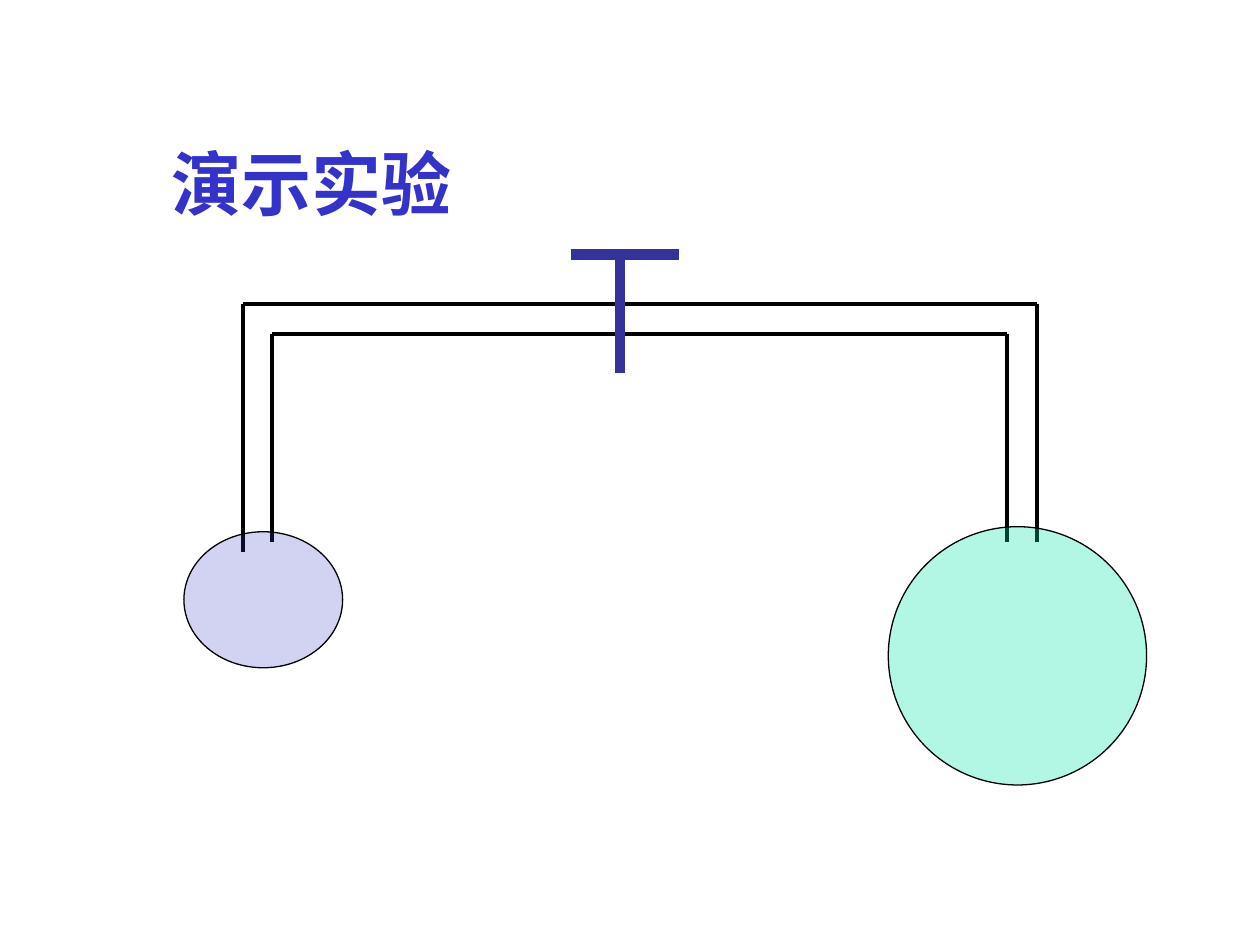
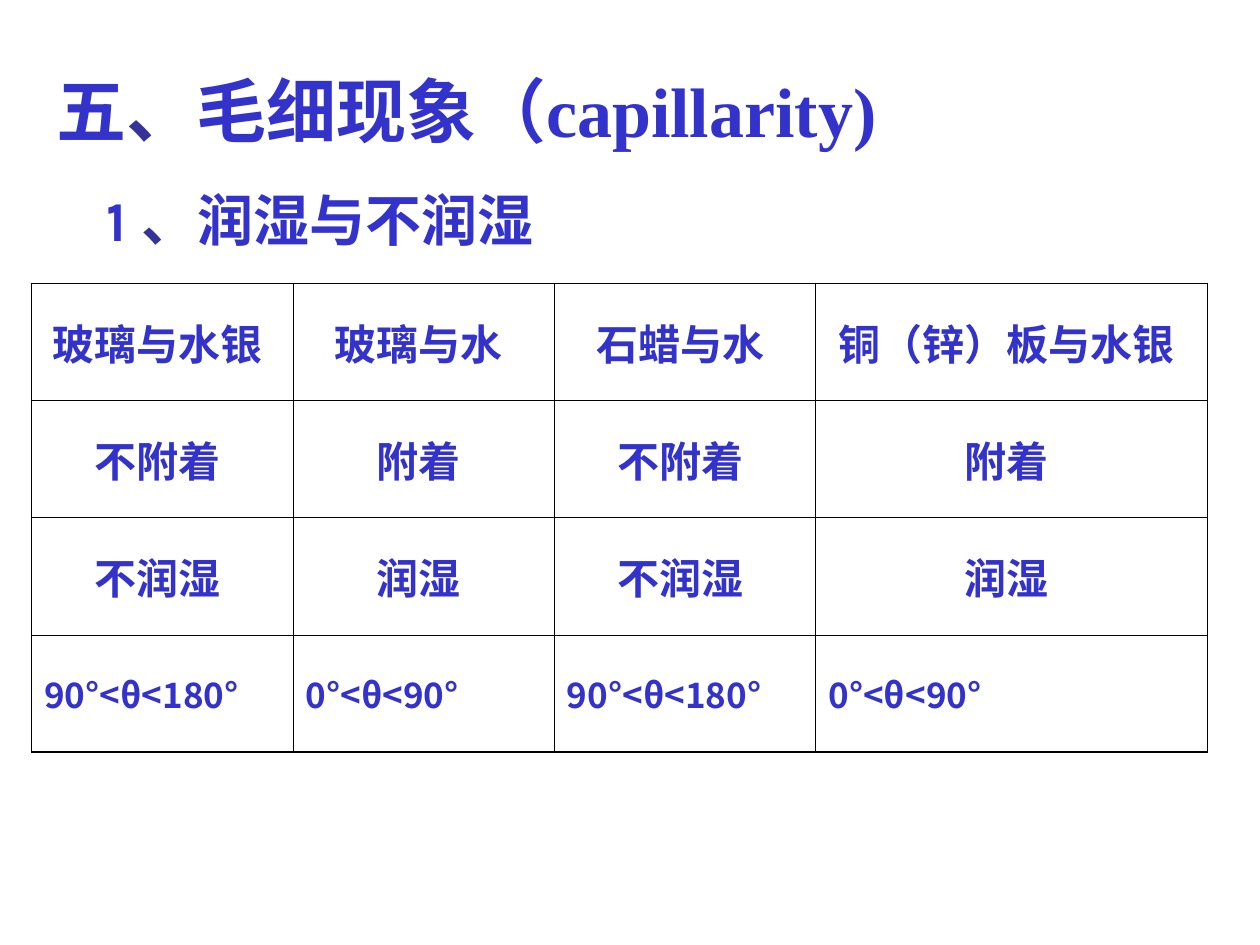
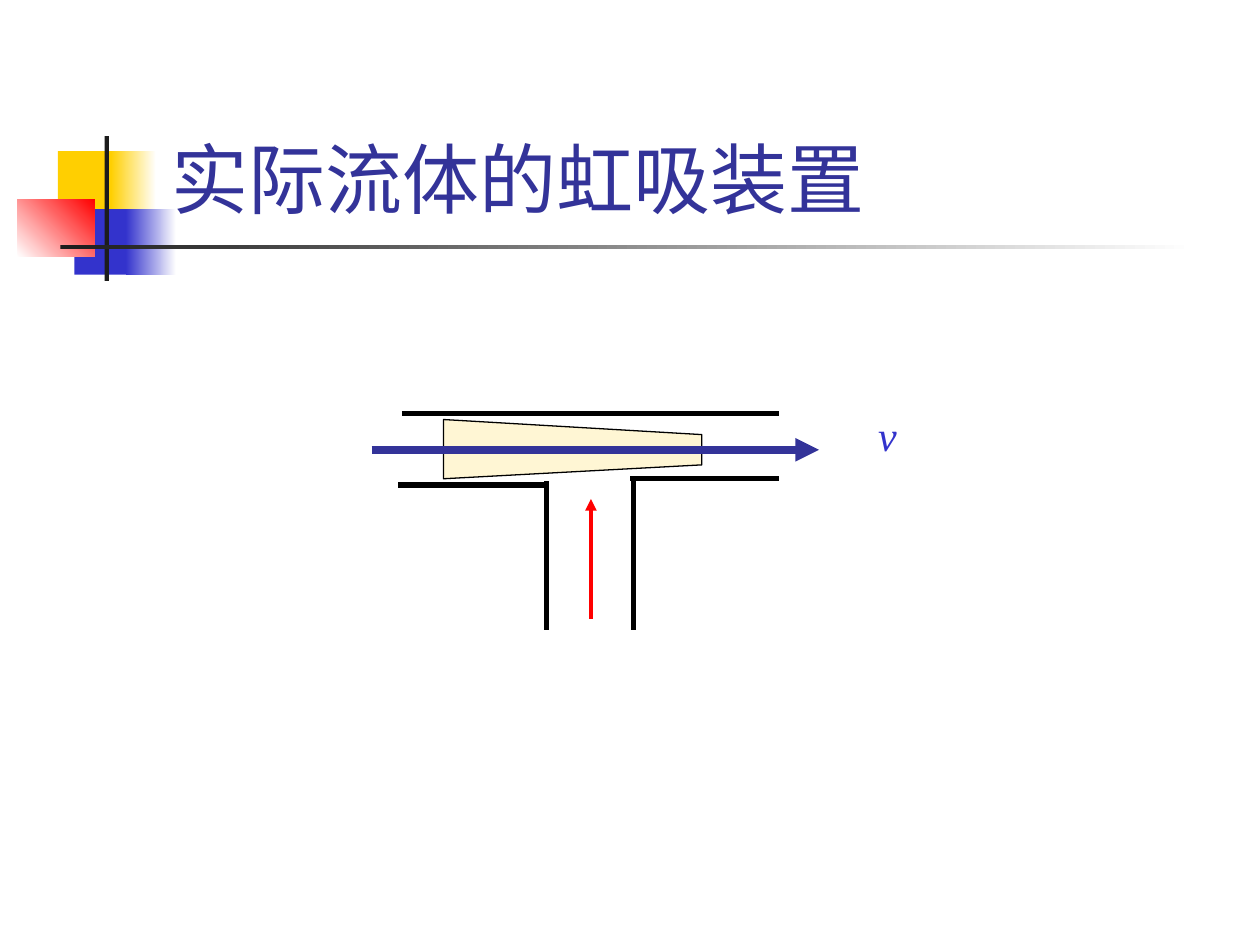
from dataclasses import dataclass

from lxml import etree
from pptx import Presentation
from pptx.dml.color import RGBColor
from pptx.enum.shapes import MSO_CONNECTOR, MSO_SHAPE
from pptx.enum.text import MSO_ANCHOR, MSO_AUTO_SIZE, PP_ALIGN
from pptx.oxml.ns import qn
from pptx.util import Inches, Pt

STRAIGHT = MSO_CONNECTOR.STRAIGHT
RECT, OVAL = MSO_SHAPE.RECTANGLE, MSO_SHAPE.OVAL
LEFT, CENTER = PP_ALIGN.LEFT, PP_ALIGN.CENTER
TOP, MIDDLE, BOTTOM = MSO_ANCHOR.TOP, MSO_ANCHOR.MIDDLE, MSO_ANCHOR.BOTTOM
NO_FIT = MSO_AUTO_SIZE.NONE
COLS, ROWS = 100, 75


@dataclass(frozen=True)
class Theme:
    """Colours, fonts and type sizes of the deck."""
    blue: str = "3333CC"
    navy: str = "333399"
    black: str = "000000"
    ink: str = "1C1C1C"
    white: str = "FFFFFF"
    yellow: str = "FFCF01"
    red: str = "FF0000"
    mint: str = "00E4A8"
    sans: str = "Karla"
    serif: str = "Times New Roman"
    cjk: str = "Noto Sans CJK SC"
    headline: int = 44
    title: int = 40
    subtitle: int = 32
    body: int = 24
    small: int = 20
    hairline: float = 0.45
    frame: float = 1.08
    outline: float = 0.75


class Deck:
    """Draws elements on the current slide in grid units."""

    def __init__(self, prs, theme):
        """Keep the presentation and its style."""
        self.prs, self.t, self.s = prs, theme, None
        self.unit_x = prs.slide_width / COLS
        self.unit_y = prs.slide_height / ROWS

    def point(self, col, row):
        """Turn a grid position into slide lengths."""
        return round(col * self.unit_x), round(row * self.unit_y)

    def box(self, col, row, cols, rows):
        """Turn a grid box into left, top, width and height."""
        return *self.point(col, row), *self.point(cols, rows)

    def slide(self):
        """Start a slide with a title."""
        self.s = self.prs.slides.add_slide(self.prs.slide_layouts[5])

    def fill_text(self, tf, runs, size, name, color, bold=False, italic=False,
                  align=LEFT, anchor=TOP):
        """Set one paragraph of (text, font, colour) runs or a plain string."""
        tf.vertical_anchor = anchor
        p = tf.paragraphs[0]
        p.alignment = align
        font = p.font
        font.size, font.bold, font.italic = Pt(size), bold, italic
        font.color.rgb = RGBColor.from_string(color)
        font.name = name
        east = etree.SubElement(p._p.pPr.find(qn("a:defRPr")), qn("a:ea"))
        east.set("typeface", self.t.cjk)
        if isinstance(runs, str):
            runs = [(runs, None, None)]
        for text, run_font, run_color in runs:
            r = p.add_run()
            r.text = text
            if run_font:
                r.font.name = run_font
            if run_color:
                r.font.color.rgb = RGBColor.from_string(run_color)

    def title(self, runs, at, size, name, color, bold=True):
        """Place and fill the title placeholder."""
        sp = self.s.shapes.title
        sp.left, sp.top, sp.width, sp.height = self.box(*at)
        sp.text_frame.auto_size = NO_FIT
        self.fill_text(sp.text_frame, runs, size, name, color, bold, anchor=BOTTOM)

    def text(self, runs, at, size, name, color, **style):
        """Add a wrapping text box."""
        tf = self.s.shapes.add_textbox(*self.box(*at)).text_frame
        tf.word_wrap = True
        self.fill_text(tf, runs, size, name, color, **style)

    def line(self, start, end, color, width, arrow=False):
        """Add a straight line, with an arrowhead at its end if asked."""
        c = self.s.shapes.add_connector(
            STRAIGHT, *self.point(*start), *self.point(*end))
        c.line.color.rgb = RGBColor.from_string(color)
        c.line.width = Pt(width)
        pr = c._element.spPr
        if arrow:
            etree.SubElement(pr.find(qn("a:ln")), qn("a:tailEnd"), type="triangle")
        etree.SubElement(pr, qn("a:effectLst"))

    def paint(self, sp, color, opacity=100, outlined=False):
        """Give a shape a flat fill and an optional thin outline."""
        sp.shadow.inherit = False
        sp.fill.solid()
        sp.fill.fore_color.rgb = RGBColor.from_string(color)
        if opacity < 100:
            clr = sp._element.spPr.find(qn("a:solidFill"))[0]
            etree.SubElement(clr, qn("a:alpha"), val=str(opacity * 1000))
        if outlined:
            sp.line.color.rgb = RGBColor.from_string(self.t.black)
            sp.line.width = Pt(self.t.outline)
        else:
            sp.line.fill.background()

    def shape(self, kind, at, color, **style):
        """Add a preset shape with a flat fill."""
        sp = self.s.shapes.add_shape(kind, *self.box(*at))
        self.paint(sp, color, **style)
        return sp

    def fade(self, at, first, last, angle=0):
        """Add a rectangle that fades between two colours."""
        sp = self.shape(RECT, at, first)
        sp.fill.gradient()
        sp.fill.gradient_angle = angle
        for stop, color, place in zip(sp.fill.gradient_stops, (first, last), (0, 1)):
            stop.color.rgb = RGBColor.from_string(color)
            stop.position = place

    def polygon(self, points, color, **style):
        """Add a closed outline."""
        start, *rest = [self.point(*pt) for pt in points]
        fb = self.s.shapes.build_freeform(*start)
        fb.add_line_segments(rest, close=True)
        self.paint(fb.convert_to_shape(), color, **style)

    def border(self, cell, widths):
        """Draw the borders of a cell, given widths by side."""
        pr = cell._tc.get_or_add_tcPr()
        for side, width in widths.items():
            ln = etree.SubElement(pr, qn(f"a:ln{side}"), w=str(Pt(width)))
            fill = etree.SubElement(ln, qn("a:solidFill"))
            etree.SubElement(fill, qn("a:srgbClr"), val=self.t.black)

    def table(self, rows, at, col_widths):
        """Add a ruled table whose last row is small and left-aligned."""
        t = self.t
        last_row, last_col = len(rows) - 1, len(col_widths) - 1
        table = self.s.shapes.add_table(
            len(rows), len(col_widths), *self.box(*at)).table
        table.first_row = table.horz_banding = False
        for column, width in zip(table.columns, col_widths):
            column.width = round(width * self.unit_x)
        for i, row in enumerate(rows):
            for j, text in enumerate(row):
                cell = table.cell(i, j)
                edges = {"L": j == 0, "R": j == last_col,
                         "T": i == 0, "B": i == last_row}
                self.border(cell, {side: t.frame if outer else t.hairline
                                   for side, outer in edges.items()})
                cell.fill.background()
                cell.vertical_anchor = MIDDLE
                size, align = (t.small, LEFT) if i == last_row else (t.body, CENTER)
                self.fill_text(cell.text_frame, text, size, t.cjk, t.blue,
                               bold=True, align=align, anchor=MIDDLE)

    def motif(self):
        """Draw the coloured squares and rules beside the title."""
        t = self.t
        self.shape(RECT, (4.6, 12, 4.8, 5.2), t.yellow)
        self.fade((8.8, 12, 3.6, 5.2), t.yellow, t.white)
        self.shape(RECT, (5.9, 16.6, 4.6, 5.2), t.blue)
        self.fade((10, 16.6, 4, 5.2), t.blue, t.white)
        self.fade((1.4, 15.8, 6.1, 4.6), t.white, t.red, angle=45)
        self.shape(RECT, (8.3, 10.8, 0.35, 11.5), t.ink)
        self.fade((4.8, 19.45, 90, 0.35), t.ink, t.white)


TITLE_BOX = (12.6, 2.3, 85.2, 16)


def bubbles(d):
    """Two bubbles joined by a pipe with a valve."""
    t = d.t
    d.slide()
    d.title("演示实验", TITLE_BOX, t.title, t.sans, t.blue)
    for left, right, top, left_end in ((19.3, 82.3, 24.1, 43.8),
                                       (21.6, 79.9, 26.5, 43)):
        d.line((left, top), (right, top), t.black, 2.25)
        d.line((left, top), (left, left_end), t.black, 2.25)
        d.line((right, top), (right, 43), t.black, 2.25)
    d.line((45.3, 20.2), (53.9, 20.2), t.navy, 6)
    d.line((49.2, 20.2), (49.2, 29.6), t.navy, 6)
    d.shape(OVAL, (14.6, 42.2, 12.6, 10.8), t.blue, opacity=22, outlined=True)
    d.shape(OVAL, (70.5, 41.8, 20.5, 20.5), t.mint, opacity=30, outlined=True)


def capillarity(d):
    """Wetting and non-wetting pairs in a table."""
    t = d.t
    d.slide()
    d.title([("五", None, None), ("、", t.sans, t.navy),
             ("毛细现象（capillarity)", None, None)],
            (3.5, 3.3, 89, 9.2), t.title, t.serif, t.blue)
    d.text([("1 ", None, None), ("、", None, t.navy), ("润湿与不润湿", t.cjk, None)],
           (7.5, 14.2, 85, 8.4), t.subtitle, t.sans, t.blue, bold=True)
    d.table([["玻璃与水银 ", "玻璃与水 ", "石蜡与水 ", "铜（锌）板与水银 "],
             ["不附着 ", "附着 "] * 2,
             ["不润湿 ", "润湿 "] * 2,
             ["90°<θ<180°", "0°<θ<90°"] * 2],
            (2.5, 22.5, 93.3, 37.2), [20.75, 20.75, 20.75, 31.1])


def siphon(d):
    """A siphon drawing liquid into a flow."""
    t = d.t
    d.slide()
    d.motif()
    d.title("实际流体的虹吸装置", TITLE_BOX, t.headline, t.sans, t.navy, bold=False)
    d.polygon([(35.2, 38), (55.7, 36.9), (55.7, 34.5), (35.2, 33.3)],
              t.yellow, opacity=17, outlined=True)
    for start, end in (((31.9, 32.8), (61.8, 32.8)),
                       ((31.6, 38.5), (43.4, 38.5)),
                       ((50, 38), (61.8, 38)),
                       ((43.4, 38.2), (43.4, 50)),
                       ((50.3, 38.2), (50.3, 50))):
        d.line(start, end, t.black, 3)
    d.line((29.5, 35.7), (65, 35.7), t.navy, 4.5, arrow=True)
    d.line((46.9, 49.1), (46.9, 39.6), t.red, 2.25, arrow=True)
    d.text("v", (68.7, 32, 4.9, 5), t.body, t.serif, t.blue, italic=True)


def main():
    """Build and save the deck."""
    prs = Presentation()
    prs.slide_width, prs.slide_height = Inches(10), Inches(7.5)
    d = Deck(prs, Theme())
    for build in (bubbles, capillarity, siphon):
        build(d)
    prs.save("out.pptx")


if __name__ == "__main__":
    main()
